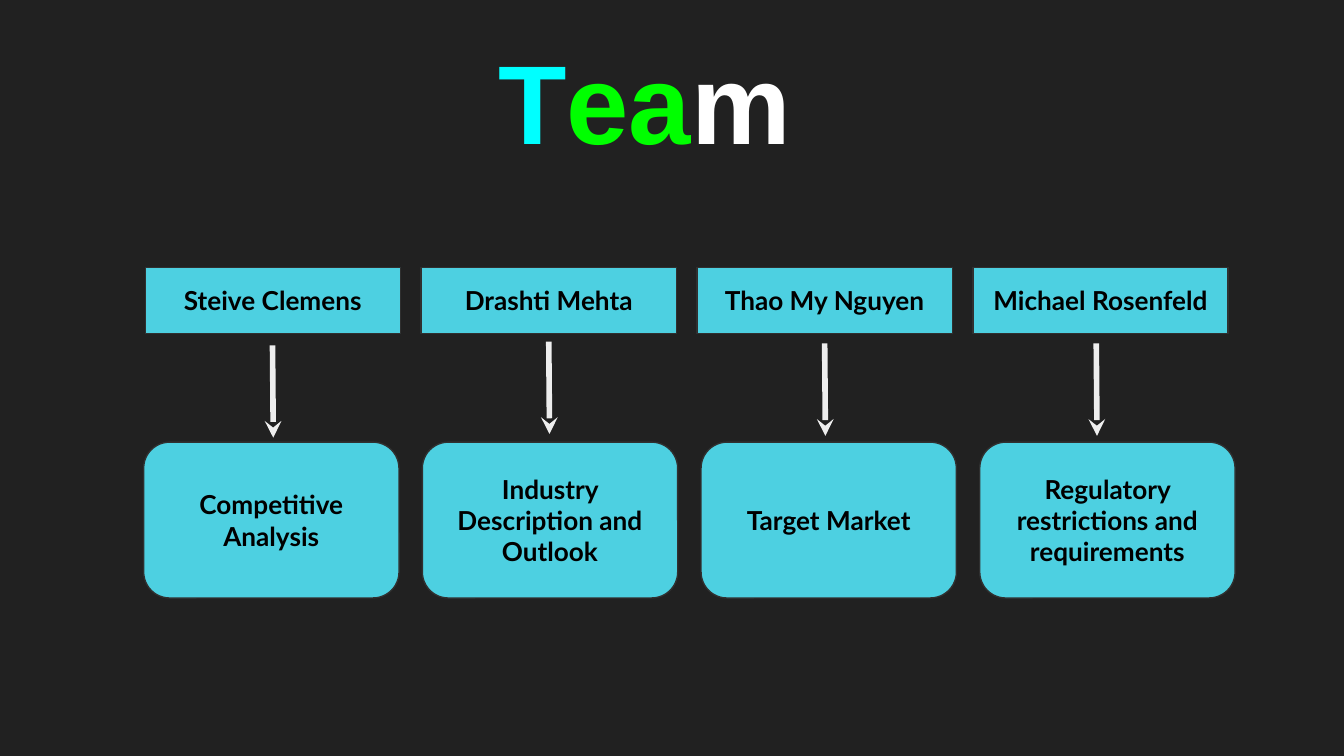
import lxml.etree
import pptx
import pptx.dml.color
import pptx.enum.shapes
import pptx.enum.text
import pptx.oxml.ns
import pptx.util

Pt = pptx.util.Pt
SHAPES = pptx.enum.shapes.MSO_SHAPE
ANCHORS = pptx.enum.text.MSO_ANCHOR
CENTER = pptx.enum.text.PP_ALIGN.CENTER

BACKGROUND = "212121"
CARD = "4DD0E1"
CARD_EDGE = "303030"
ARROW = "EEEEEE"

TITLE = [("T", "00FFFF"), ("ea", "00FF00"), ("m", "FFFFFF")]

# Member, topic, and the x and y where the arrow between them starts
TEAM = [
    ("Steive Clemens", "Competitive Analysis", 146, 185),
    ("Drashti Mehta", "Industry Description and Outlook", 294, 183),
    ("Thao My Nguyen", "Target Market", 441.8, 184),
    ("Michael Rosenfeld", "Regulatory restrictions and requirements", 587.3, 184),
]
CARD_WIDTH = 136.8
MEMBER_LEFT, MEMBER_PITCH = 77.8, 147.8
TOPIC_LEFT, TOPIC_PITCH = 77, 149.3
ARROW_LENGTH, ARROW_LEAN = 49.5, 0.4


def rgb(hex_code):
    return pptx.dml.color.RGBColor.from_string(hex_code)


def set_frame(frame, anchor):
    """Wrap the text, anchor it and give it equal insets."""
    frame.word_wrap = True
    frame.vertical_anchor = anchor
    frame.margin_left = frame.margin_right = Pt(7.2)
    frame.margin_top = frame.margin_bottom = Pt(7.2)


def set_font(font, name, size):
    font.name = name
    font.size = Pt(size)
    font.bold = True


def add_title(slide):
    box = slide.shapes.add_textbox(Pt(103.7), Pt(2.2), Pt(483.1), Pt(94.3))
    set_frame(box.text_frame, ANCHORS.BOTTOM)
    heading = box.text_frame.paragraphs[0]
    heading.alignment = CENTER
    set_font(heading.font, "Arial", 60)
    for letters, colour in TITLE:
        run = heading.add_run()
        run.text = letters
        run.font.color.rgb = rgb(colour)


def add_card(slide, outline, label, left, top, height):
    card = slide.shapes.add_shape(outline, Pt(left), Pt(top), Pt(CARD_WIDTH), Pt(height))
    card.shadow.inherit = False
    card.fill.solid()
    card.fill.fore_color.rgb = rgb(CARD)
    card.line.color.rgb = rgb(CARD_EDGE)
    card.line.width = Pt(0.75)
    set_frame(card.text_frame, ANCHORS.MIDDLE)
    caption = card.text_frame.paragraphs[0]
    caption.text = label
    caption.alignment = CENTER
    set_font(caption.font, "Lato", 14)
    caption.font.color.rgb = rgb("000000")


def add_arrow(slide, x, y):
    arrow = slide.shapes.add_connector(
        pptx.enum.shapes.MSO_CONNECTOR.STRAIGHT,
        Pt(x), Pt(y), Pt(x + ARROW_LEAN), Pt(y + ARROW_LENGTH),
    )
    arrow.line.color.rgb = rgb(ARROW)
    arrow.line.width = Pt(3)
    qn = pptx.oxml.ns.qn
    properties = arrow.element.spPr
    head = lxml.etree.SubElement(properties.find(qn("a:ln")), qn("a:tailEnd"))
    head.set("type", "stealth")
    lxml.etree.SubElement(properties, qn("a:effectLst"))


def main():
    deck = pptx.Presentation()
    deck.slide_width, deck.slide_height = Pt(720), Pt(405)
    slide = deck.slides.add_slide(deck.slide_layouts[6])
    slide.background.fill.solid()
    slide.background.fill.fore_color.rgb = rgb(BACKGROUND)

    add_title(slide)
    for column, (member, topic, arrow_x, arrow_y) in enumerate(TEAM):
        member_left = MEMBER_LEFT + column * MEMBER_PITCH
        topic_left = TOPIC_LEFT + column * TOPIC_PITCH
        add_card(slide, SHAPES.RECTANGLE, member, member_left, 143.3, 35.3)
        add_card(slide, SHAPES.ROUNDED_RECTANGLE, topic, topic_left, 236.9, 83.5)
        add_arrow(slide, arrow_x, arrow_y)

    deck.save("out.pptx")


if __name__ == "__main__":
    main()
